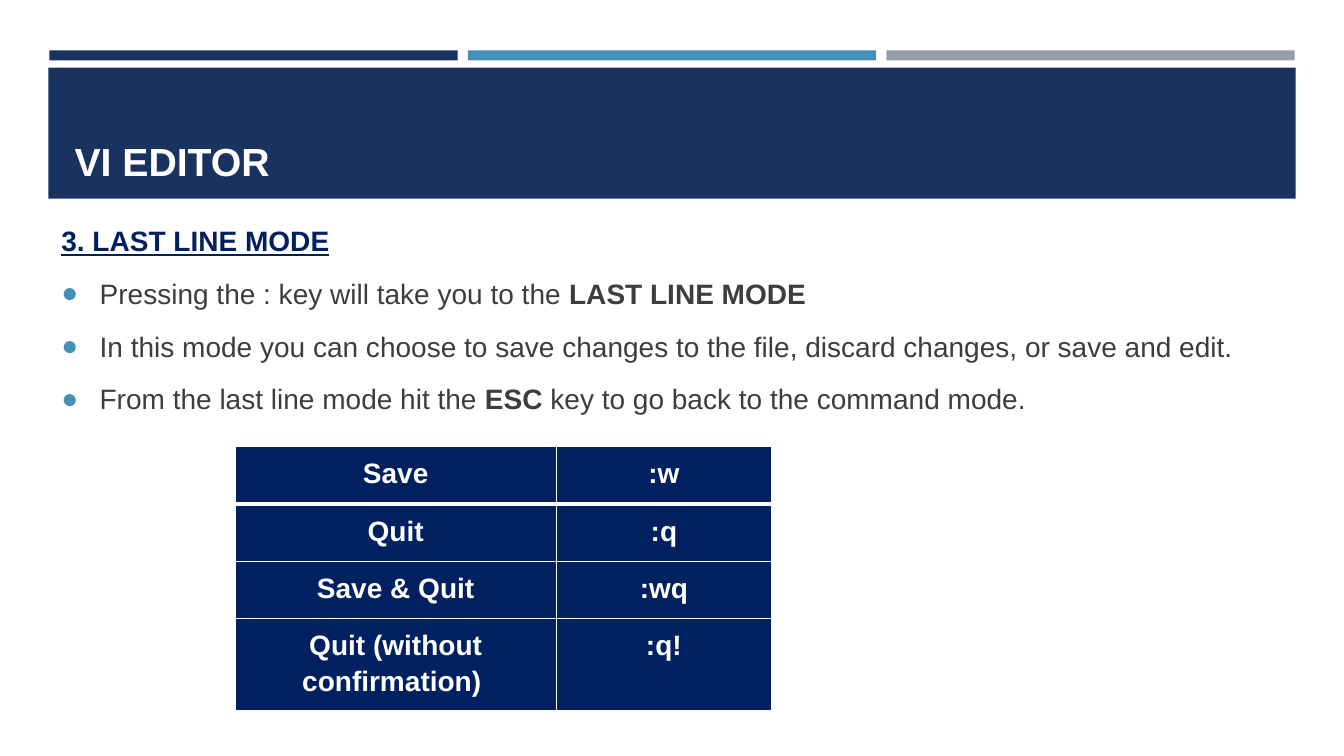
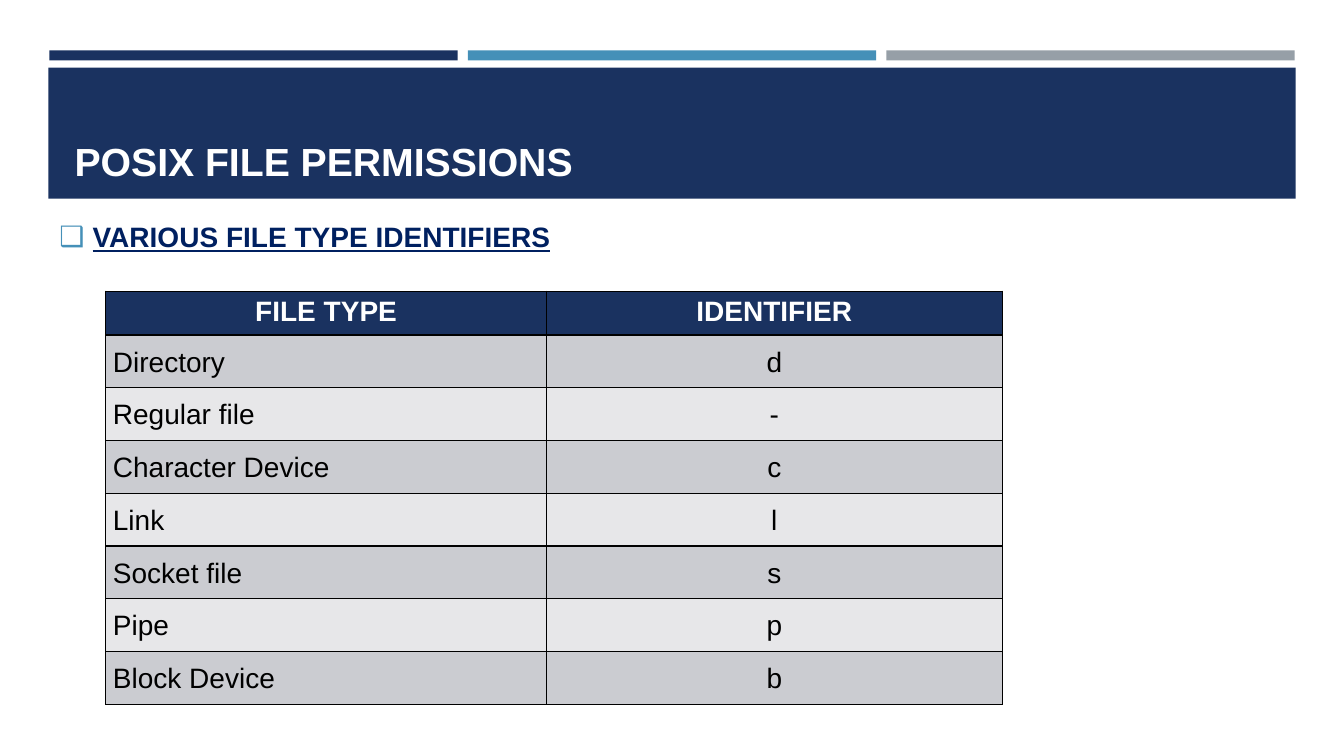
from lxml import etree
from pptx import Presentation
from pptx import util as u
from pptx.dml.color import RGBColor
from pptx.enum import shapes, text
from pptx.oxml import ns

NAVY, BLUE, GREY = "1A3260", "4590B8", "969FA7"
DEEP_NAVY, BODY, WHITE, BLACK = "002060", "3D3D3D", "FFFFFF", "000000"
STRIPES = ["CBCCD1", "E7E7E9"]
FONT = "Arial"
TITLE_ONLY = 5
LEFT, CENTER = text.PP_ALIGN.LEFT, text.PP_ALIGN.CENTER


def color(value):
    return RGBColor.from_string(value)


def format_run(run, fill, size=20, bold=False, underline=False):
    font = run.font
    font.name, font.size = FONT, u.Pt(size)
    font.bold, font.underline = bold, underline
    font.color.rgb = color(fill)


def set_insets(target, horizontal, vertical):
    target.margin_left = target.margin_right = u.Inches(horizontal)
    target.margin_top = target.margin_bottom = u.Inches(vertical)


def add_child(parent, tag, **attributes):
    return etree.SubElement(parent, ns.qn(tag), attributes)


def set_bullet(paragraph, character, indent):
    properties = paragraph._p.get_or_add_pPr()
    properties.set("marL", str(u.Inches(indent)))
    properties.set("indent", str(-u.Inches(indent)))
    add_child(add_child(properties, "a:buClr"), "a:srgbClr", val=BLUE)
    add_child(properties, "a:buFont", typeface=FONT)
    add_child(properties, "a:buChar", char=character)


def set_borders(cell, line_color, widths):
    properties = cell._tc.get_or_add_tcPr()
    for side, width in zip("LRTB", widths):
        line = add_child(properties, f"a:ln{side}", w=str(u.Pt(width)))
        add_child(add_child(line, "a:solidFill"), "a:srgbClr", val=line_color)


def add_band(slide, left, top, width, height, fill):
    band = slide.shapes.add_shape(
        shapes.MSO_SHAPE.RECTANGLE, *map(u.Inches, (left, top, width, height)))
    band.shadow.inherit = False
    band.fill.solid()
    band.fill.fore_color.rgb = color(fill)
    band.line.fill.background()


def add_titled_slide(presentation, heading):
    slide = presentation.slides.add_slide(presentation.slide_layouts[TITLE_ONLY])
    for column, fill in enumerate([NAVY, BLUE, GREY]):
        add_band(slide, 0.49 + column * 4.15, 0.5, 4.05, 0.1, fill)
    add_band(slide, 0.48, 0.67, 12.37, 1.3, NAVY)
    title = slide.shapes.title
    title.element.getparent().append(title.element)
    title.left, title.top = u.Inches(0.64), u.Inches(0.77)
    title.width, title.height = u.Inches(12.06), u.Inches(1.11)
    frame = title.text_frame
    frame.text = heading
    frame.vertical_anchor = text.MSO_ANCHOR.BOTTOM
    set_insets(frame, 0.1, 0.05)
    frame.paragraphs[0].alignment = LEFT
    format_run(frame.paragraphs[0].runs[0], WHITE, 28, bold=True)
    return slide


def add_body(slide, left, top, width, height, heading):
    box = slide.shapes.add_textbox(*map(u.Inches, (left, top, width, height)))
    frame = box.text_frame
    frame.word_wrap = True
    set_insets(frame, 0.1, 0.05)
    frame.text = heading
    format_run(frame.paragraphs[0].runs[0], DEEP_NAVY, bold=True, underline=True)
    return frame


def add_points(frame, points):
    for point in points:
        paragraph = frame.add_paragraph()
        paragraph.line_spacing = 1.15
        paragraph.space_before = u.Pt(10)
        set_bullet(paragraph, "●", 0.38)
        for words, bold in point:
            run = paragraph.add_run()
            run.text = words
            format_run(run, BODY, bold=bold)


def add_grid(slide, left, top, column_widths, row_heights, rows):
    frame = slide.shapes.add_table(
        len(rows), len(column_widths),
        *map(u.Inches, (left, top, sum(column_widths), sum(row_heights))))
    table = frame.table
    for column, width in zip(table.columns, column_widths):
        column.width = u.Inches(width)
    for row, height in zip(table.rows, row_heights):
        row.height = u.Inches(height)
    return table


def fill_cell(cell, words, fill, font_color, bold, alignment, line_color,
              widths=(1, 1, 1, 1), insets=(0.07, 0.07), line_spacing=1.15):
    cell.text = words
    paragraph = cell.text_frame.paragraphs[0]
    paragraph.alignment = alignment
    paragraph.line_spacing = line_spacing
    format_run(paragraph.runs[0], font_color, bold=bold)
    set_insets(cell, *insets)
    set_borders(cell, line_color, widths)
    cell.fill.solid()
    cell.fill.fore_color.rgb = color(fill)


def add_command_table(slide, left, top, rows):
    table = add_grid(slide, left, top, [3.19, 2.13], [0.57] * len(rows), rows)
    for index, row in enumerate(rows):
        widths = (1, 1, 3 if index == 1 else 1, 3 if index == 0 else 1)
        for column, words in enumerate(row):
            fill_cell(table.cell(index, column), words, DEEP_NAVY, WHITE, True,
                      CENTER, WHITE, widths)


def add_identifier_table(slide, left, top, header, rows):
    heights = [0.42] + [0.515] * len(rows)
    table = add_grid(slide, left, top, [4.37, 4.52], heights, [header] + rows)
    for column, words in enumerate(header):
        fill_cell(table.cell(0, column), words, NAVY, WHITE, True, CENTER, BLACK,
                  insets=(0.1, 0.05), line_spacing=1.0)
    for index, row in enumerate(rows):
        for column, words in enumerate(row):
            fill_cell(table.cell(index + 1, column), words, STRIPES[index % 2],
                      BLACK, False, [LEFT, CENTER][column], BLACK)


def build_editor_slide(presentation):
    slide = add_titled_slide(presentation, "VI EDITOR")
    frame = add_body(slide, 0.51, 2.12, 12.32, 4.87, "3. LAST LINE MODE")
    frame.paragraphs[0].line_spacing = 1.15
    add_points(frame, [
        [("Pressing the : key will take you to the ", False),
         ("LAST LINE MODE", True)],
        [("In this mode you can choose to save changes to the file, "
          "discard changes, or save and edit.", False)],
        [("From the last line mode hit the ", False), ("ESC ", True),
         ("key to go back to the command mode.", False)],
    ])
    add_command_table(slide, 2.33, 4.43, [
        ("Save", ":w"),
        ("Quit", ":q"),
        ("Save & Quit", ":wq"),
        ("Quit (without confirmation) ", ":q!"),
    ])


def build_permissions_slide(presentation):
    slide = add_titled_slide(presentation, "POSIX FILE PERMISSIONS")
    frame = add_body(slide, 0.49, 2.13, 12.2, 4.97, "VARIOUS FILE TYPE IDENTIFIERS")
    set_bullet(frame.paragraphs[0], "❑", 0.33)
    add_identifier_table(slide, 1.05, 2.89, ("FILE TYPE", "IDENTIFIER"), [
        ("Directory", "d"),
        ("Regular file", "-"),
        ("Character Device", "c"),
        ("Link", "l"),
        ("Socket file", "s"),
        ("Pipe", "p"),
        ("Block Device", "b"),
    ])


def main():
    presentation = Presentation()
    presentation.slide_width = u.Inches(13.33)
    presentation.slide_height = u.Inches(7.5)
    build_editor_slide(presentation)
    build_permissions_slide(presentation)
    presentation.save("out.pptx")


if __name__ == "__main__":
    main()
